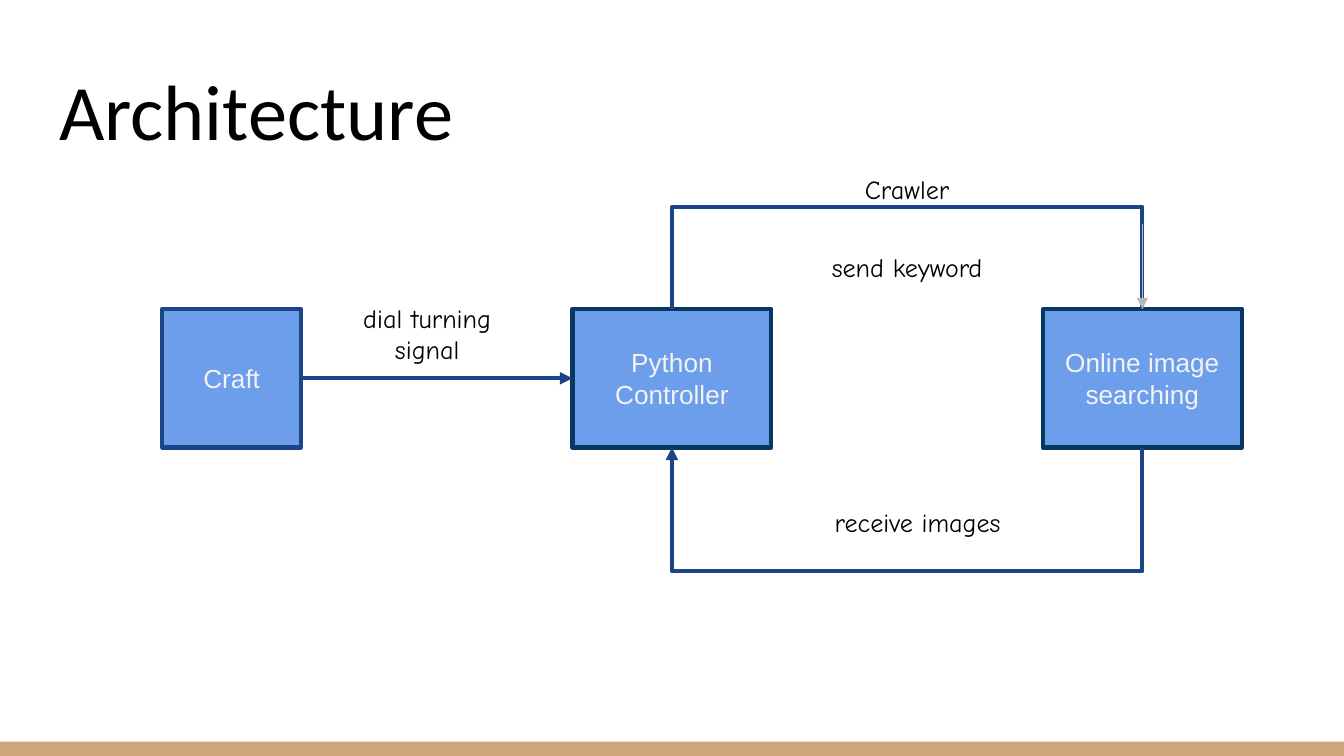
from lxml import etree
from pptx import Presentation
from pptx.dml.color import RGBColor
from pptx.enum.shapes import MSO_CONNECTOR, MSO_SHAPE
from pptx.enum.text import MSO_ANCHOR, PP_ALIGN
from pptx.oxml.ns import qn
from pptx.util import Cm, Pt

NAVY = "1C4587"
DARK = "073763"
BLUE = "6D9EEB"
GRAY = "B7B7B7"
BOX_TOP, BOX_H = 5.84, 2.62
BOX_BOTTOM = BOX_TOP + BOX_H
CONTROLLER_X, SEARCH_X = 12.7, 21.59


def color(value):
    return RGBColor.from_string(value)


def set_text(sp, text, size, font, fill, align, anchor):
    tf = sp.text_frame
    tf.text = text
    tf.word_wrap = True
    tf.vertical_anchor = anchor
    tf.margin_left = tf.margin_right = Cm(0.25)
    tf.margin_top = tf.margin_bottom = Cm(0.25)
    p = tf.paragraphs[0]
    p.alignment = align
    r = p.runs[0]
    r.font.size = Pt(size)
    r.font.name = font
    r.font.color.rgb = color(fill)


def set_line(sp, line, width, arrow=False):
    sp.line.color.rgb = color(line)
    sp.line.width = Pt(width)
    if arrow:
        ln = sp.line._get_or_add_ln()
        etree.SubElement(ln, qn("a:tailEnd"), type="triangle")


def add_rect(s, x, y, w, h, fill):
    sp = s.shapes.add_shape(MSO_SHAPE.RECTANGLE, Cm(x), Cm(y), Cm(w), Cm(h))
    sp.shadow.inherit = False
    sp.fill.solid()
    sp.fill.fore_color.rgb = color(fill)
    sp.line.fill.background()
    return sp


def add_box(s, center, w, text, line):
    sp = add_rect(s, center - w / 2, BOX_TOP, w, BOX_H, BLUE)
    set_line(sp, line, 2.25)
    set_text(sp, text, 14, "Arial", "F3F3F3", PP_ALIGN.CENTER, MSO_ANCHOR.MIDDLE)
    return sp


def add_title(s, text):
    sp = s.shapes.add_textbox(Cm(0.87), Cm(0.89), Cm(23.67), Cm(2.31))
    set_text(sp, text, 42, "Calibri", "000000", PP_ALIGN.LEFT, MSO_ANCHOR.BOTTOM)


def add_label(s, x, y, text, h=0.97):
    sp = s.shapes.add_textbox(Cm(x), Cm(y), Cm(4.27), Cm(h))
    set_text(sp, text, 14, "Comic Neue", "000000", PP_ALIGN.CENTER, MSO_ANCHOR.TOP)


def add_arrow(s, start, end, line, width):
    sp = s.shapes.add_connector(
        MSO_CONNECTOR.STRAIGHT, *map(Cm, start), *map(Cm, end))
    set_line(sp, line, width, arrow=True)
    etree.SubElement(sp._element.spPr, qn("a:effectLst"))
    return sp


def add_route(s, x1, x2, y, via_y, arrow=False):
    builder = s.shapes.build_freeform(Cm(x1), Cm(y))
    corners = [(x1, via_y), (x2, via_y), (x2, y)]
    builder.add_line_segments([(Cm(a), Cm(b)) for a, b in corners], close=False)
    sp = builder.convert_to_shape()
    sp.shadow.inherit = False
    sp.fill.background()
    set_line(sp, NAVY, 2.25, arrow)


def main():
    prs = Presentation()
    prs.slide_width, prs.slide_height = Cm(25.4), Cm(14.29)
    s = prs.slides.add_slide(prs.slide_layouts[6])

    add_rect(s, 0, 14.02, 25.4, 0.27, "CCA677")
    add_title(s, "Architecture")

    craft = add_box(s, 4.38, 2.62, "Craft", NAVY)
    controller = add_box(s, CONTROLLER_X, 3.76, "Python Controller", DARK)
    search = add_box(s, SEARCH_X, 3.76, "Online image searching", DARK)

    signal = add_arrow(s, (5.69, 7.15), (10.82, 7.15), NAVY, 2.25)
    signal.begin_connect(craft, 3)
    signal.end_connect(controller, 1)

    add_label(s, 5.94, 5.46, "dial turning signal", 2.16)
    add_label(s, 15.01, 3.02, "Crawler")
    add_label(s, 15.01, 4.5, "send keyword")

    add_route(s, CONTROLLER_X, SEARCH_X, BOX_TOP, 3.91)
    request = add_arrow(s, (SEARCH_X, 4.24), (SEARCH_X, BOX_TOP), GRAY, 0.75)
    request.end_connect(search, 0)
    add_route(s, SEARCH_X, CONTROLLER_X, BOX_BOTTOM, 10.8, arrow=True)
    add_label(s, 15.21, 9.32, "receive images")

    prs.save("out.pptx")


if __name__ == "__main__":
    main()
